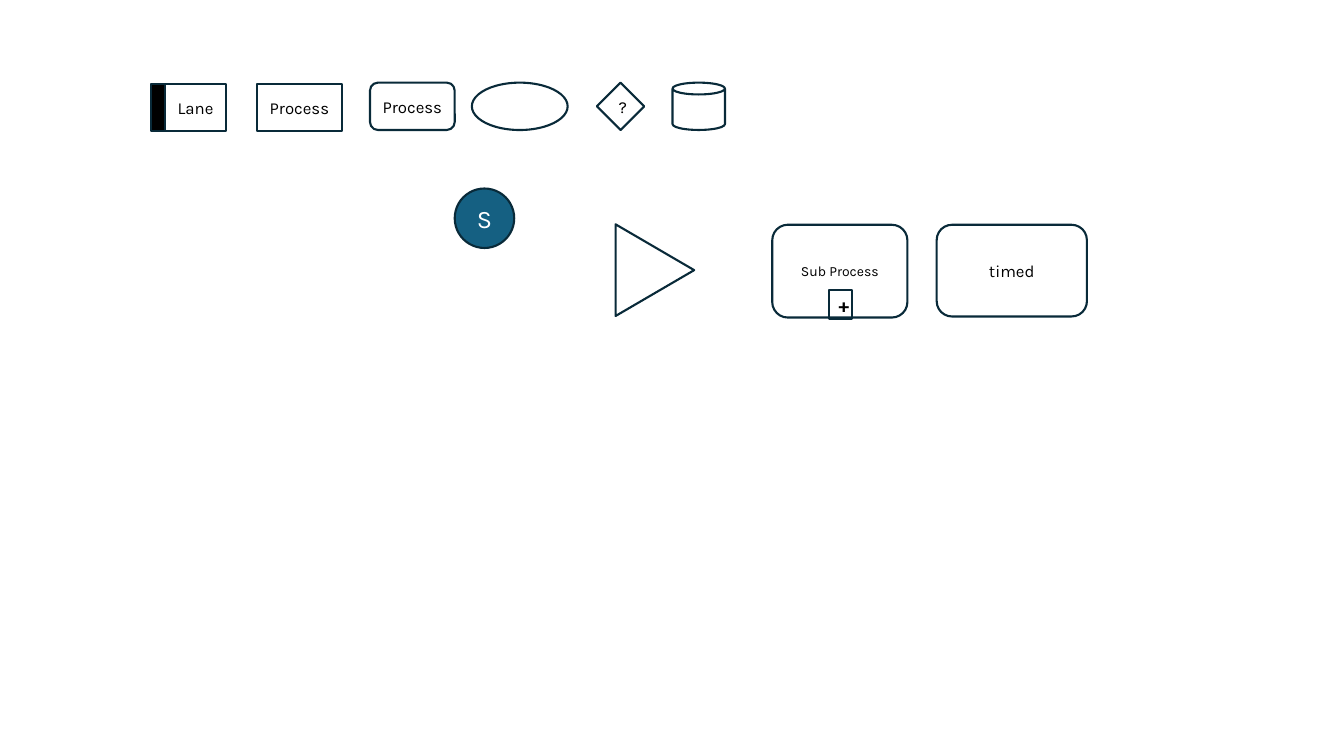
import pptx
import pptx.util
import pptx.dml.color
import pptx.enum.shapes
import pptx.enum.text
from dataclasses import dataclass

Inches = pptx.util.Inches
Kind = pptx.enum.shapes.MSO_SHAPE


@dataclass(frozen=True)
class Theme:
    font: str = "Karla"
    edge: str = "092A39"
    ink: str = "000000"
    pale: str = "FFFFFF"
    blue: str = "156082"
    line: float = 1.5
    small: int = 10
    body: int = 12
    plus: int = 14
    start: int = 18


class Board:
    def __init__(self, deck, theme):
        self.theme = theme
        self.slide = deck.slides.add_slide(deck.slide_layouts[6])

    def group(self):
        return self.slide.shapes.add_group_shape()

    def node(self, kind, box, text="", fill=None, home=None, turn=0, **style):
        """Draw an outlined shape, with a centred label if text is given."""
        theme = self.theme
        shape = (home or self.slide).shapes.add_shape(kind, *map(Inches, box))
        shape.shadow.inherit = False
        shape.rotation = turn
        shape.line.color.rgb = pptx.dml.color.RGBColor.from_string(theme.edge)
        shape.line.width = pptx.util.Pt(theme.line)
        if fill:
            shape.fill.solid()
            shape.fill.fore_color.rgb = pptx.dml.color.RGBColor.from_string(fill)
        else:
            shape.fill.background()
        if text:
            self.label(shape, text, **style)
        return shape

    def label(self, shape, text, size=None, color=None, bold=False):
        theme = self.theme
        frame = shape.text_frame
        frame.vertical_anchor = pptx.enum.text.MSO_ANCHOR.MIDDLE
        para = frame.paragraphs[0]
        para.alignment = pptx.enum.text.PP_ALIGN.CENTER
        run = para.add_run()
        run.text = text
        look = {"name": theme.font, "size": pptx.util.Pt(size or theme.body), "bold": bold}
        for key, value in look.items():
            setattr(run.font, key, value)
        run.font.color.rgb = pptx.dml.color.RGBColor.from_string(color or theme.ink)


def main():
    deck = pptx.Presentation()
    deck.slide_width, deck.slide_height = Inches(13.33), Inches(7.5)
    theme = Theme()
    board = Board(deck, theme)
    top, high = 0.82, 0.47

    # Lane with its black band
    lane = board.group()
    board.node(Kind.RECTANGLE, (1.64, 0.83, 0.6, high), "Lane", home=lane)
    board.node(Kind.RECTANGLE, (1.5, 0.83, 0.14, high), fill=theme.ink, home=lane)

    # Top row of symbols
    board.node(Kind.RECTANGLE, (2.55, 0.83, 0.84, high), "Process")
    for kind, left, width, text in (
        (Kind.ROUNDED_RECTANGLE, 3.67, 0.84, "Process"),
        (Kind.FLOWCHART_CONNECTOR, 4.68, 0.95, ""),
        (Kind.DIAMOND, 5.92, 0.47, "?"),
        (Kind.CAN, 6.67, 0.52, ""),
    ):
        board.node(kind, (left, top, width, high), text)

    # Sub process with its plus marker
    sub = board.group()
    board.node(Kind.ROUNDED_RECTANGLE, (7.66, 2.23, 1.34, 0.92), "Sub Process",
               home=sub, size=theme.small)
    board.node(Kind.RECTANGLE, (8.22, 2.88, 0.23, 0.28), "+",
               home=sub, size=theme.plus, bold=True)

    # Timed step, start circle and arrowhead triangle
    board.node(Kind.ROUNDED_RECTANGLE, (9.29, 2.23, 1.49, 0.91), "timed")
    board.node(Kind.FLOWCHART_CONNECTOR, (4.51, 1.87, 0.59, 0.59), "S",
               fill=theme.blue, size=theme.start, color=theme.pale)
    board.node(Kind.ISOSCELES_TRIANGLE, (6.04, 2.29, 0.91, 0.78), turn=90)

    deck.save("out.pptx")


if __name__ == "__main__":
    main()
